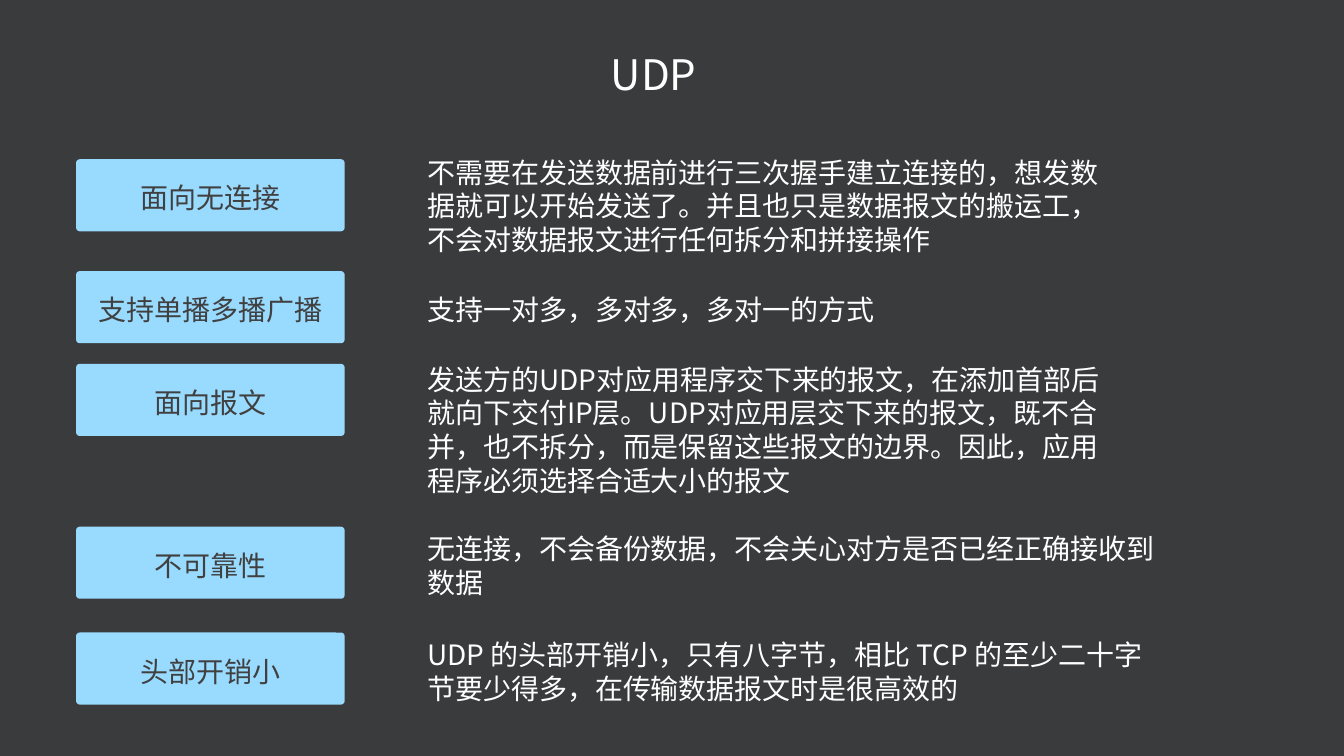
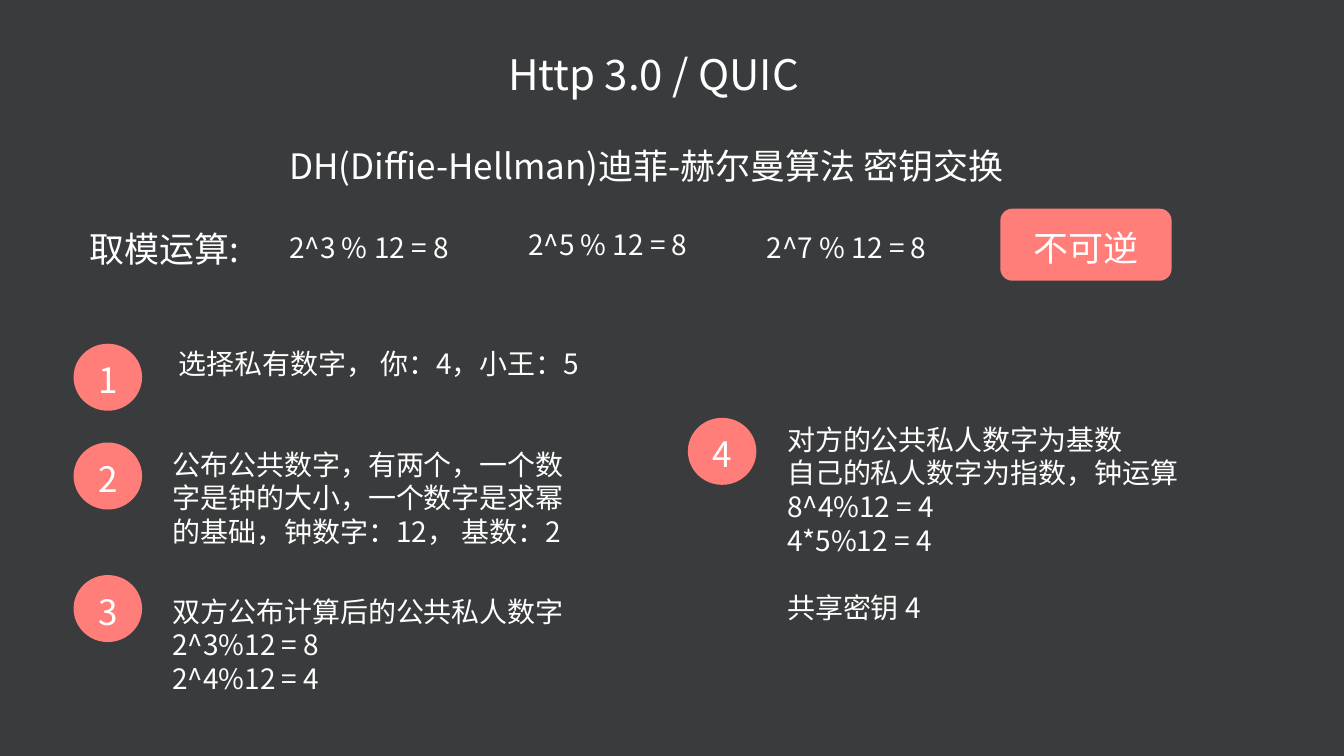
from dataclasses import dataclass

from lxml.etree import SubElement
from pptx import Presentation
from pptx.dml.color import RGBColor
from pptx.enum.shapes import MSO_SHAPE
from pptx.enum.text import MSO_ANCHOR, MSO_AUTO_SIZE, PP_ALIGN
from pptx.oxml.ns import qn
from pptx.util import Emu, Pt

PX = 9144  # one px is a hundredth of an inch


@dataclass(frozen=True)
class Theme:
    font: str = "Noto Sans CJK SC"
    background: str = "3A3B3C"
    light: str = "FFFFFF"
    dark: str = "404040"
    sky: str = "99DAFF"
    coral: str = "FF7E79"
    title: int = 60
    heading: int = 50
    body: int = 40
    leading: float = 1.2
    baseline_drop: int = 5  # px, centres the glyphs within the fixed leading


class SlideBuilder:
    def __init__(self, deck, theme):
        self.deck = deck
        self.theme = theme
        self.slide = None

    def new_slide(self, title):
        self.slide = self.deck.slides.add_slide(self.deck.slide_layouts[6])
        fill = self.slide.background.fill
        fill.solid()
        fill.fore_color.rgb = RGBColor.from_string(self.theme.background)
        box = self.slide.shapes.add_textbox(*self.place(808, 92, 978, 100))
        self.set_lines(box, [title], self.theme.title, centred=True, wrap=False,
                       insets=(6, 6))

    def place(self, *lengths):
        return [Emu(length * PX) for length in lengths]

    def set_lines(self, box, lines, size, color=None, centred=False, wrap=True,
                  insets=(10, 5), gap_before_last=0):
        theme = self.theme
        frame = box.text_frame
        frame.word_wrap = wrap
        frame.vertical_anchor = MSO_ANCHOR.MIDDLE if centred else MSO_ANCHOR.TOP
        side, edge = insets
        frame.margin_left = frame.margin_right = Emu(side * PX)
        frame.margin_top = Emu((edge + theme.baseline_drop) * PX)
        frame.margin_bottom = Emu((edge - theme.baseline_drop) * PX)
        for index, line in enumerate(lines):
            para = frame.add_paragraph() if index else frame.paragraphs[0]
            para.alignment = PP_ALIGN.CENTER if centred else PP_ALIGN.LEFT
            para.line_spacing = Pt(size * theme.leading)
            if gap_before_last and index == len(lines) - 1:
                para.space_before = Pt(gap_before_last)
            span = para.add_run()
            span.text = line
            span.font.size = Pt(size)
            span.font.name = theme.font
            span.font.color.rgb = RGBColor.from_string(color or theme.light)
            east_asian = SubElement(span.font._element, qn("a:ea"))
            east_asian.set("typeface", theme.font)

    def text(self, bounds, *lines, size=None, gap_before_last=0):
        box = self.slide.shapes.add_textbox(*self.place(*bounds))
        self.set_lines(box, lines, size or self.theme.body,
                       gap_before_last=gap_before_last)
        box.text_frame.auto_size = MSO_AUTO_SIZE.SHAPE_TO_FIT_TEXT

    def shape(self, kind, bounds, label, fill, size, color=None, corner=None,
              wrap=True):
        shape = self.slide.shapes.add_shape(kind, *self.place(*bounds))
        shape.shadow.inherit = False
        shape.fill.solid()
        shape.fill.fore_color.rgb = RGBColor.from_string(fill)
        shape.line.fill.background()
        if corner is not None:
            shape.adjustments[0] = corner
        self.set_lines(shape, [label], size, color, centred=True, wrap=wrap)

    def feature_label(self, top, label):
        theme = self.theme
        self.shape(MSO_SHAPE.ROUNDED_RECTANGLE, (151, top, 533, 143), label,
                   theme.sky, theme.body, theme.dark, corner=0.05)

    def step_number(self, left, top, number):
        self.shape(MSO_SHAPE.OVAL, (left, top, 136, 133), str(number),
                   self.theme.coral, self.theme.heading)


def build_udp(page):
    page.new_slide("UDP")
    # Label top, label, then description top, width, height and text
    features = [
        (316, "面向无连接", 298, 1361, 212,
         "不需要在发送数据前进行三次握手建立连接的，想发数据就可以开始发送了。"
         "并且也只是数据报文的搬运工，不会对数据报文进行任何拆分和拼接操作"),
        (538, "支持单播多播广播", 571, 1361, 77,
         "支持一对多，多对多，多对一的方式"),
        (722, "面向报文", 709, 1361, 279,
         "发送方的UDP对应用程序交下来的报文，在添加首部后就向下交付IP层。"
         "UDP对应用层交下来的报文，既不合并，也不拆分，而是保留这些报文的边界。"
         "因此，应用程序必须选择合适大小的报文"),
        (1045, "不可靠性", 1045, 1479, 145,
         "无连接，不会备份数据，不会关心对方是否已经正确接收到数据"),
        (1255, "头部开销小", 1255, 1479, 145,
         "UDP 的头部开销小，只有八字节，相比 TCP 的至少二十字节要少得多，"
         "在传输数据报文时是很高效的"),
    ]
    for label_top, label, top, width, height, description in features:
        page.feature_label(label_top, label)
        page.text((838, top, width, height), description)


def build_quic(page):
    theme = page.theme
    page.new_slide("Http 3.0 / QUIC")

    # Key exchange heading and modulo examples
    page.text((564, 277, 1667, 94), "DH(Diffie-Hellman)迪菲-赫尔曼算法 密钥交换",
              size=theme.heading)
    page.text((168, 441, 340, 94), "取模运算:", size=theme.heading)
    for index, (exponent, top) in enumerate([(3, 447), (5, 442), (7, 447)]):
        page.text((564 + 474 * index, top, 418, 77), f"2^{exponent} % 12 = 8")
    page.shape(MSO_SHAPE.ROUNDED_RECTANGLE, (1985, 414, 340, 143), "不可逆",
               theme.coral, theme.heading, wrap=False)

    # Numbered steps: circle position, text bounds, lines, gap before last line
    steps = [
        (146, 682, (344, 678, 831, 77), ["选择私有数字， 你：4，小王：5"], 0),
        (146, 878, (332, 877, 831, 212),
         ["公布公共数字，有两个，一个数字是钟的大小，一个数字是求幂的基础，"
          "钟数字：12， 基数：2"], 0),
        (146, 1141, (332, 1169, 831, 212),
         ["双方公布计算后的公共私人数字", "2^3%12 = 8", "2^4%12 = 4"], 0),
        (1365, 829, (1552, 828, 911, 414),
         ["对方的公共私人数字为基数", "自己的私人数字为指数，钟运算",
          "8^4%12 = 4", "4*5%12 = 4", "共享密钥 4"], theme.body * theme.leading),
    ]
    for number, (left, top, bounds, lines, gap) in enumerate(steps, 1):
        page.step_number(left, top, number)
        page.text(bounds, *lines, gap_before_last=gap)


def main():
    deck = Presentation()
    deck.slide_width = Emu(2667 * PX)
    deck.slide_height = Emu(1500 * PX)
    page = SlideBuilder(deck, Theme())
    build_udp(page)
    build_quic(page)
    deck.save("out.pptx")


if __name__ == "__main__":
    main()
